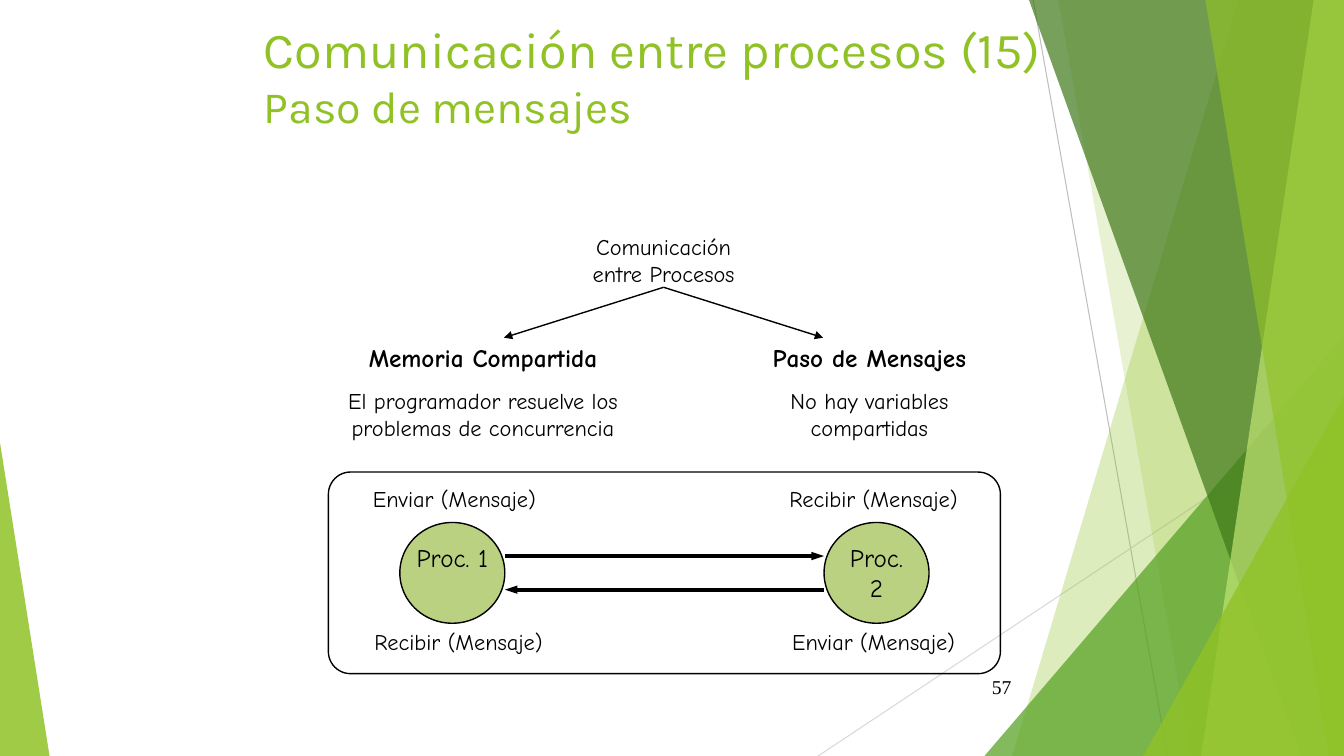
"""Build a slide on message passing between processes, laid out on a 160 by 90 grid."""
from dataclasses import dataclass

from lxml import etree
from pptx import Presentation
from pptx.dml.color import RGBColor
from pptx.enum import shapes, text
from pptx.oxml import ns
from pptx import util as u

COLOURS = {
    "lime": "90C226", "leaf": "54A021", "forest": "3F7819", "pale": "C0E474",
    "process": "B9D181", "ink": "000000", "grey": "BFBFBF", "mist": "D9D9D9",
}
COLUMNS, ROWS = 160, 90
BODY_FONT = "Comic Neue"


@dataclass
class Blade:
    top_left: float
    bottom_left: float
    colour: str
    opacity: int


@dataclass
class Wedge:
    left: float
    top: float
    width: float
    apex: int
    colour: str
    opacity: int


@dataclass
class Stroke:
    start: tuple[float, float]
    end: tuple[float, float]
    colour: str = "ink"
    weight: float = 1
    head_width: str = ""


@dataclass
class Line:
    words: str
    size: int = 16
    bold: bool = False


@dataclass
class Label:
    left: float
    top: float
    width: float
    height: float
    lines: tuple[Line, ...]
    font: str = BODY_FONT
    align: text.PP_ALIGN = text.PP_ALIGN.CENTER
    anchor: text.MSO_ANCHOR = text.MSO_ANCHOR.TOP


BACKDROP = [
    Stroke((123, 0), (139, 90), "grey", 0.75),
    Stroke((160, 48.4), (97.4, 90), "mist", 0.75),
    Blade(147.4, 120.5, "lime", 30),
    Blade(126, 141.8, "lime", 20),
    Wedge(117.2, 40, 42.8, 1, "leaf", 72),
    Blade(122.5, 154.9, "forest", 70),
    Blade(156.4, 143, "pale", 70),
    Blade(143.5, 158.2, "lime", 65),
    Wedge(136.1, 47.2, 23.9, 1, "lime", 80),
    Wedge(0, 52.7, 5.9, 0, "lime", 85),
]

FORK = (79, 34.2)
PROCESS_TOP, PROCESS_WIDTH, PROCESS_HEIGHT = 62.2, 12.5, 12
FIRST_PROCESS, SECOND_PROCESS = 47.6, 98.1
FIRST_EDGE = FIRST_PROCESS + PROCESS_WIDTH
SEND_ROW, REPLY_ROW = 66.2, 70.2
CALL_ABOVE, CALL_BELOW = 57.2, 74.2

LABELS = [
    Label(112.6, 79.3, 9, 4.8, (Line("57", 14),), "Times New Roman",
          text.PP_ALIGN.RIGHT, text.MSO_ANCHOR.MIDDLE),
    Label(68, 27.2, 22, 7.7, (Line("Comunicación entre Procesos"),)),
    Label(38, 40.2, 39, 12.8, (
        Line("Memoria Compartida", 18, True),
        Line("El programador resuelve los problemas de concurrencia"))),
    Label(89, 40.2, 29, 12.8, (
        Line("Paso de Mensajes", 18, True),
        Line("No hay variables compartidas"))),
    Label(42.1, CALL_ABOVE, 24, 4.4, (Line("Enviar (Mensaje)"),)),
    Label(91, CALL_ABOVE, 26, 4.4, (Line("Recibir (Mensaje)"),)),
    Label(91, CALL_BELOW, 26, 4.4, (Line("Enviar (Mensaje)"),)),
    Label(42.1, CALL_BELOW, 25, 4.4, (Line("Recibir (Mensaje)"),)),
]

ARROWS = [
    Stroke(FORK, (60, 40.2), head_width="med"),
    Stroke(FORK, (98, 40.2), head_width="med"),
    Stroke((FIRST_EDGE, SEND_ROW), (SECOND_PROCESS, SEND_ROW), weight=3, head_width="sm"),
    Stroke((SECOND_PROCESS, REPLY_ROW), (FIRST_EDGE, REPLY_ROW), weight=3, head_width="sm"),
]

deck = Presentation()
deck.slide_width, deck.slide_height = u.Inches(13.34), u.Inches(7.5)


def across(columns: float) -> int:
    return round(deck.slide_width * columns / COLUMNS)


def down(rows: float) -> int:
    return round(deck.slide_height * rows / ROWS)


def box(left: float, top: float, width: float, height: float) -> tuple[int, int, int, int]:
    return across(left), down(top), across(width), down(height)


def rgb(colour: str) -> RGBColor:
    return RGBColor.from_string(COLOURS[colour])


def tint(shape, colour: str, opacity: int) -> None:
    shape.shadow.inherit = False
    shape.line.fill.background()
    shape.fill.solid()
    shape.fill.fore_color.rgb = rgb(colour)
    shade = shape._element.spPr.find(".//" + ns.qn("a:srgbClr"))
    etree.SubElement(shade, ns.qn("a:alpha"), val=str(opacity * 1000))


def draw_blade(slide, blade: Blade) -> None:
    builder = slide.shapes.build_freeform(across(blade.top_left), 0)
    builder.add_line_segments([
        (across(COLUMNS), 0), (across(COLUMNS), down(ROWS)),
        (across(blade.bottom_left), down(ROWS))])
    tint(builder.convert_to_shape(), blade.colour, blade.opacity)


def draw_wedge(slide, wedge: Wedge) -> None:
    triangle = slide.shapes.add_shape(
        shapes.MSO_SHAPE.ISOSCELES_TRIANGLE,
        *box(wedge.left, wedge.top, wedge.width, ROWS - wedge.top))
    triangle.adjustments[0] = wedge.apex
    tint(triangle, wedge.colour, wedge.opacity)


def draw_stroke(slide, stroke: Stroke) -> None:
    (x1, y1), (x2, y2) = stroke.start, stroke.end
    connector = slide.shapes.add_connector(
        shapes.MSO_CONNECTOR.STRAIGHT, across(x1), down(y1), across(x2), down(y2))
    connector.line.color.rgb = rgb(stroke.colour)
    connector.line.width = u.Pt(stroke.weight)
    properties = connector._element.spPr
    if stroke.head_width:
        etree.SubElement(properties.find(ns.qn("a:ln")), ns.qn("a:tailEnd"),
                         type="triangle", w=stroke.head_width, len="med")
    etree.SubElement(properties, ns.qn("a:effectLst"))


def draw_label(slide, label: Label) -> None:
    frame = slide.shapes.add_textbox(
        *box(label.left, label.top, label.width, label.height)).text_frame
    frame.word_wrap = True
    frame.vertical_anchor = label.anchor
    for index, line in enumerate(label.lines):
        paragraph = frame.add_paragraph() if index else frame.paragraphs[0]
        paragraph.text = line.words
        paragraph.alignment = label.align
        if index:
            paragraph.space_before = u.Pt(10)
        paragraph.font.name = label.font
        paragraph.font.size = u.Pt(line.size)
        paragraph.font.bold = line.bold
        paragraph.font.color.rgb = rgb("ink")


def draw_outline(slide, kind: shapes.MSO_SHAPE, place: tuple[int, int, int, int]):
    outline = slide.shapes.add_shape(kind, *place)
    outline.shadow.inherit = False
    outline.fill.background()
    outline.line.color.rgb = rgb("ink")
    outline.line.width = u.Pt(1)
    return outline


def draw_process(slide, left: float, name: str) -> None:
    circle = draw_outline(slide, shapes.MSO_SHAPE.OVAL,
                          box(left, PROCESS_TOP, PROCESS_WIDTH, PROCESS_HEIGHT))
    circle.fill.solid()
    circle.fill.fore_color.rgb = rgb("process")
    draw_label(slide, Label(left + 0.73, 64, 11.04, 8.4, (Line(name, 18),)))


def draw_title(slide) -> None:
    title = slide.shapes.title
    title.left, title.top, title.width, title.height = box(30.2, 1.4, 102, 15)
    slide.shapes._spTree.append(title._element)
    frame = title.text_frame
    frame.word_wrap = True
    frame.auto_size = text.MSO_AUTO_SIZE.NONE
    frame.vertical_anchor = text.MSO_ANCHOR.BOTTOM
    heading = frame.paragraphs[0]
    heading.alignment = text.PP_ALIGN.LEFT
    heading.font.name = "Karla"
    heading.font.size = u.Pt(36)
    heading.font.color.rgb = rgb("lime")
    heading.add_run().text = "Comunicación entre procesos (15)"
    heading.add_line_break()
    subtitle = heading.add_run()
    subtitle.text = "Paso de mensajes"
    subtitle.font.size = u.Pt(32)


def main() -> None:
    slide = deck.slides.add_slide(deck.slide_layouts[5])
    painters = {Stroke: draw_stroke, Blade: draw_blade, Wedge: draw_wedge, Label: draw_label}
    for part in BACKDROP:
        painters[type(part)](slide, part)
    draw_title(slide)
    draw_process(slide, FIRST_PROCESS, "Proc. 1")
    draw_process(slide, SECOND_PROCESS, "Proc. 2")
    for part in LABELS + ARROWS:
        painters[type(part)](slide, part)
    frame = draw_outline(slide, shapes.MSO_SHAPE.ROUNDED_RECTANGLE, box(39.1, 56.2, 80, 24))
    frame.adjustments[0] = 0.11
    deck.save("out.pptx")


if __name__ == "__main__":
    main()
